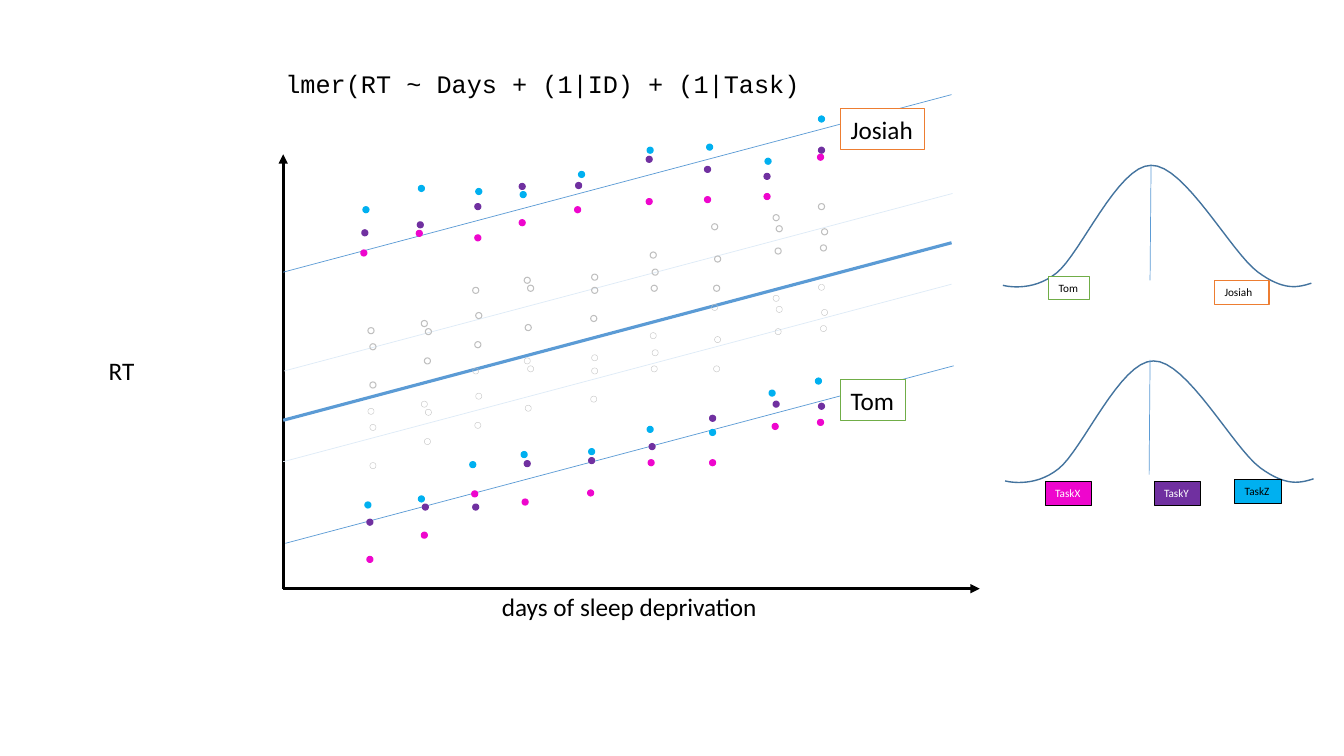
from lxml.etree import SubElement
from pptx import Presentation
from pptx.dml.color import RGBColor
from pptx.enum.shapes import MSO_CONNECTOR, MSO_SHAPE
from pptx.enum.text import MSO_ANCHOR, MSO_AUTO_SIZE, PP_ALIGN
from pptx.oxml.ns import qn
from pptx.util import Pt

COLORS = {
    "black": "000000", "white": "FFFFFF", "blue": "5B9BD5", "pale": "DEEBF7",
    "curve": "43739E", "grey": "BFBFBF", "orange": "ED7D31", "green": "70AD47",
    "TaskX": "EE06CD", "TaskY": "7030A0", "TaskZ": "00B0F0",
}

FORMULA = "lmer(RT ~ Days + (1|ID) + (1|Task)"

# Centres of the observations, by task
JOSIAH = {
    "TaskY": [(260.6, 166.3), (300.2, 160.6), (341.3, 147.6), (373, 133.2), (413.3, 132.5),
              (463.7, 113.8), (505.4, 121), (547.9, 126), (586.8, 107.3)],
    "TaskZ": [(261.4, 149.8), (301, 134.6), (342, 136.8), (373.7, 139), (415.4, 124.6),
              (464.4, 107.3), (506.9, 105.1), (548.6, 115.2), (586.8, 85)],
    "TaskX": [(259.9, 180.7), (299.5, 166.7), (341.3, 169.9), (373, 159.1), (412.6, 149.8),
              (463.7, 144), (505.4, 142.6), (547.9, 140.4), (586.1, 112.3)],
}
TOM = {
    "TaskY": [(264.2, 373), (303.8, 362.2), (339.8, 362.2), (376.6, 331.2), (422.6, 329),
              (465.8, 319), (509, 298.8), (554.4, 288.7), (586.8, 290.2)],
    "TaskZ": [(262.8, 360.7), (301, 356.4), (337.7, 331.9), (374.4, 324.7), (422.6, 322.6),
              (464.4, 306.7), (509, 308.9), (551.5, 280.8), (584.6, 272.2)],
    "TaskX": [(264.2, 399.6), (303.1, 382.3), (339.1, 352.8), (375.1, 358.6), (421.9, 352.1),
              (465.1, 330.5), (509, 330.5), (553.7, 304.6), (586.1, 301.7)],
}
OTHERS = [
    (266.4, 247.7), (306, 236.9), (342, 225.4), (379, 205.9), (424.8, 207.4),
    (468, 194.4), (512.6, 185), (556.6, 163.4), (589, 165.6),
    (265, 236.2), (303.1, 231.1), (339.8, 207.4), (376.6, 200.2), (424.8, 198),
    (466.6, 182.2), (510.5, 162), (554.4, 155.5), (586.8, 147.6),
    (266.4, 275), (305.3, 257.8), (341.3, 246.2), (377.3, 234), (424.1, 227.5),
    (467.3, 205.9), (511.9, 205.9), (555.8, 179.3), (588.2, 177.1),
]
OTHER_GROUPS = [(0, 0.75), (57.6, 0.25)]  # shift down, outline width
DOT = 4.4

ORIGIN = (202.3, 420.5)
AXIS_ENDS = [(699.8, 420.5), (202.3, 110.2)]
RUN, RISE = 477.4, 126.8
# x and y at the left end, colour, width
REGRESSIONS = [
    (202.3, 300.2, "blue", 2.25), (203.8, 388.1, "blue", 0.5), (202.3, 194.4, "blue", 0.5),
    (203, 265, "pale", 0.5), (202.3, 329.8, "pale", 0.5),
]

# Cubic segments of the bell: two handles and an end point each
BELL_START = (936.7, 202.3)
BELL = [
    ((927.4, 205.2), (917.3, 208.1), (898.6, 194.4)),
    ((879.1, 180), (846, 117.4), (822.2, 118.1)),
    ((798.5, 118.1), (771.8, 181.4), (754.6, 195.1)),
    ((736.6, 209.5), (716.4, 203.8), (716.4, 203.8)),
]
BELL_SHIFTS = [(0, 0), (1.6, 139.7)]
BELL_STEPS = 16
BELL_CENTRES = [((822.2, 118.1), (821.5, 200.2)), ((821.5, 257), (820.8, 339.1))]

# text, box, size, font colour, fill, outline
LABELS = [
    ("RT", (70.6, 250.6, 33.1, 28.8), 18, "black", None, None),
    ("days of sleep deprivation", (351.4, 419, 198.7, 28.8), 18, "black", None, None),
    ("Josiah", (600.5, 77.8, 59.8, 28.8), 18, "black", "white", "orange"),
    ("Tom", (600.5, 271.4, 46.1, 28.8), 18, "black", "white", "green"),
    ("Josiah", (867.6, 200.2, 38.9, 17), 8, "black", "white", "orange"),
    ("Tom", (749.2, 197.3, 29.2, 17), 8, "black", "white", "green"),
    ("TaskX", (746.6, 344, 33.4, 17), 8, "white", "TaskX", "black"),
    ("TaskY", (824.4, 344, 33.4, 17), 8, "white", "TaskY", "black"),
    ("TaskZ", (882, 342.4, 33.4, 17), 8, "black", "TaskZ", "black"),
]


def rgb(color):
    return RGBColor.from_string(COLORS[color])


def set_line(shape, color, width):
    shape.line.color.rgb = rgb(color)
    shape.line.width = Pt(width)


def add_line(start, end, color, width, arrow=False):
    line = slide.shapes.add_connector(
        MSO_CONNECTOR.STRAIGHT, *[Pt(v) for v in (*start, *end)])
    set_line(line, color, width)
    properties = line.element.spPr
    if arrow:
        SubElement(properties.find(qn("a:ln")), qn("a:tailEnd"), type="triangle")
    SubElement(properties, qn("a:effectLst"))


def add_dot(shapes, x, y, outline, width=0.75, fill=None):
    dot = shapes.add_shape(
        MSO_SHAPE.OVAL, Pt(x - DOT / 2), Pt(y - DOT / 2), Pt(DOT), Pt(DOT))
    dot.shadow.inherit = False
    set_line(dot, outline, width)
    if fill:
        dot.fill.solid()
        dot.fill.fore_color.rgb = rgb(fill)
    else:
        dot.fill.background()


def bell_points(dx, dy):
    """Points along the cubic segments after the start, in EMU."""
    start, points = BELL_START, []
    for first, second, end in BELL:
        for step in range(1, BELL_STEPS + 1):
            t = step / BELL_STEPS
            x, y = [
                (1 - t) ** 3 * a + 3 * (1 - t) ** 2 * t * b + 3 * (1 - t) * t ** 2 * c + t ** 3 * d
                for a, b, c, d in zip(start, first, second, end)]
            points.append((Pt(x + dx), Pt(y + dy)))
        start = end
    return points


def add_bell(dx, dy):
    builder = slide.shapes.build_freeform(Pt(BELL_START[0] + dx), Pt(BELL_START[1] + dy))
    builder.add_line_segments(bell_points(dx, dy), close=False)
    bell = builder.convert_to_shape()
    bell.shadow.inherit = False
    bell.fill.background()
    set_line(bell, "curve", 1)


def add_label(text, box, size, color, fill, outline):
    label = slide.shapes.add_textbox(*[Pt(v) for v in box])
    frame = label.text_frame
    frame.text = text
    frame.word_wrap = False
    frame.auto_size = MSO_AUTO_SIZE.SHAPE_TO_FIT_TEXT
    font = frame.paragraphs[0].runs[0].font
    font.name, font.size, font.color.rgb = "Calibri", Pt(size), rgb(color)
    if fill:
        label.fill.solid()
        label.fill.fore_color.rgb = rgb(fill)
        set_line(label, outline, 0.75)


def set_title():
    title = slide.shapes.title
    title.left, title.top, title.width, title.height = Pt(196.6), Pt(45.4), Pt(468.7), Pt(28.8)
    frame = title.text_frame
    frame.text = FORMULA
    frame.auto_size = MSO_AUTO_SIZE.NONE
    frame.vertical_anchor = MSO_ANCHOR.TOP
    frame.paragraphs[0].alignment = PP_ALIGN.LEFT
    font = frame.paragraphs[0].runs[0].font
    font.name, font.size, font.color.rgb = "Courier New", Pt(18), rgb("black")


deck = Presentation()
deck.slide_width, deck.slide_height = Pt(960), Pt(540)
slide = deck.slides.add_slide(deck.slide_layouts[5])
set_title()

for axis_end in AXIS_ENDS:
    add_line(ORIGIN, axis_end, "black", 2.25, arrow=True)
for x, y, color, width in REGRESSIONS:
    add_line((x, y), (x + RUN, y - RISE), color, width)

for person in (JOSIAH, TOM):
    for task, centres in person.items():
        for x, y in centres:
            add_dot(slide.shapes, x, y, task, fill=task)
for shift, width in OTHER_GROUPS:
    group = slide.shapes.add_group_shape()
    for x, y in OTHERS:
        add_dot(group.shapes, x, y + shift, "grey", width)

for bell_shift in BELL_SHIFTS:
    add_bell(*bell_shift)
for top, bottom in BELL_CENTRES:
    add_line(top, bottom, "blue", 0.5)
for label in LABELS:
    add_label(*label)

deck.save("out.pptx")
